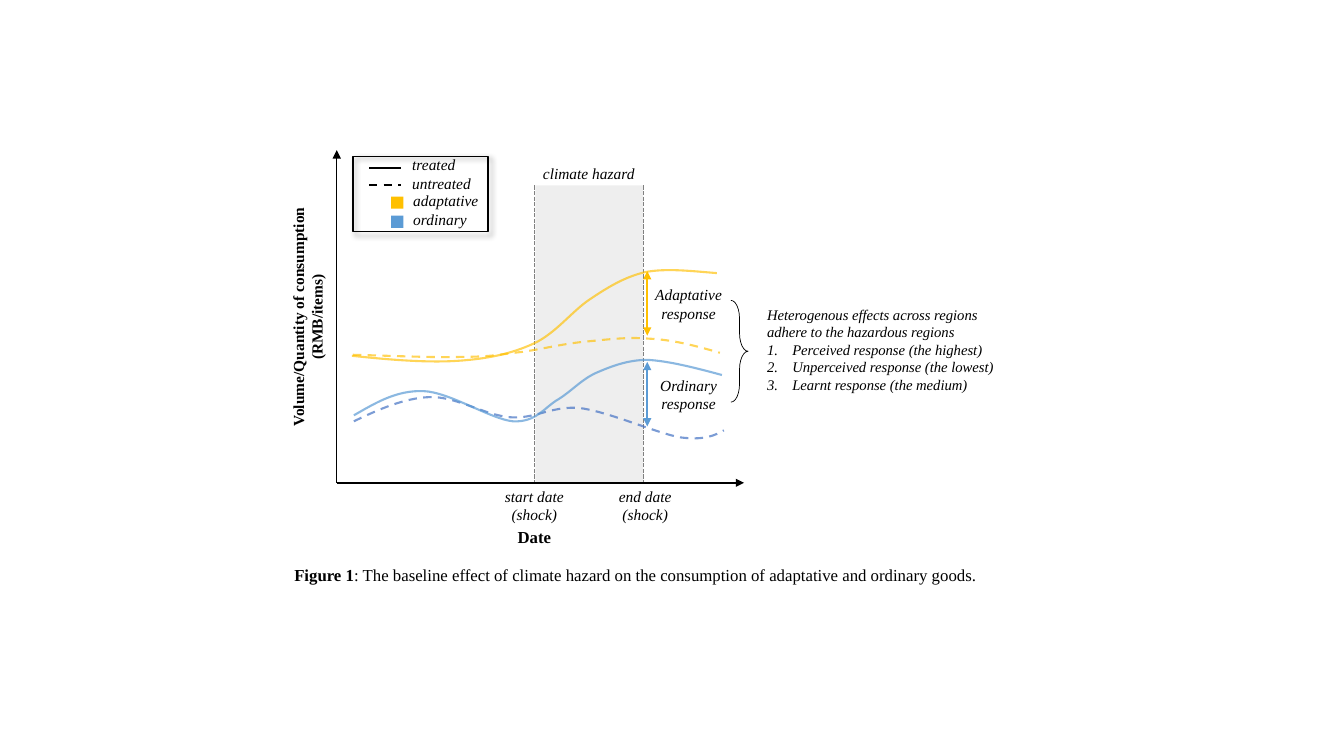
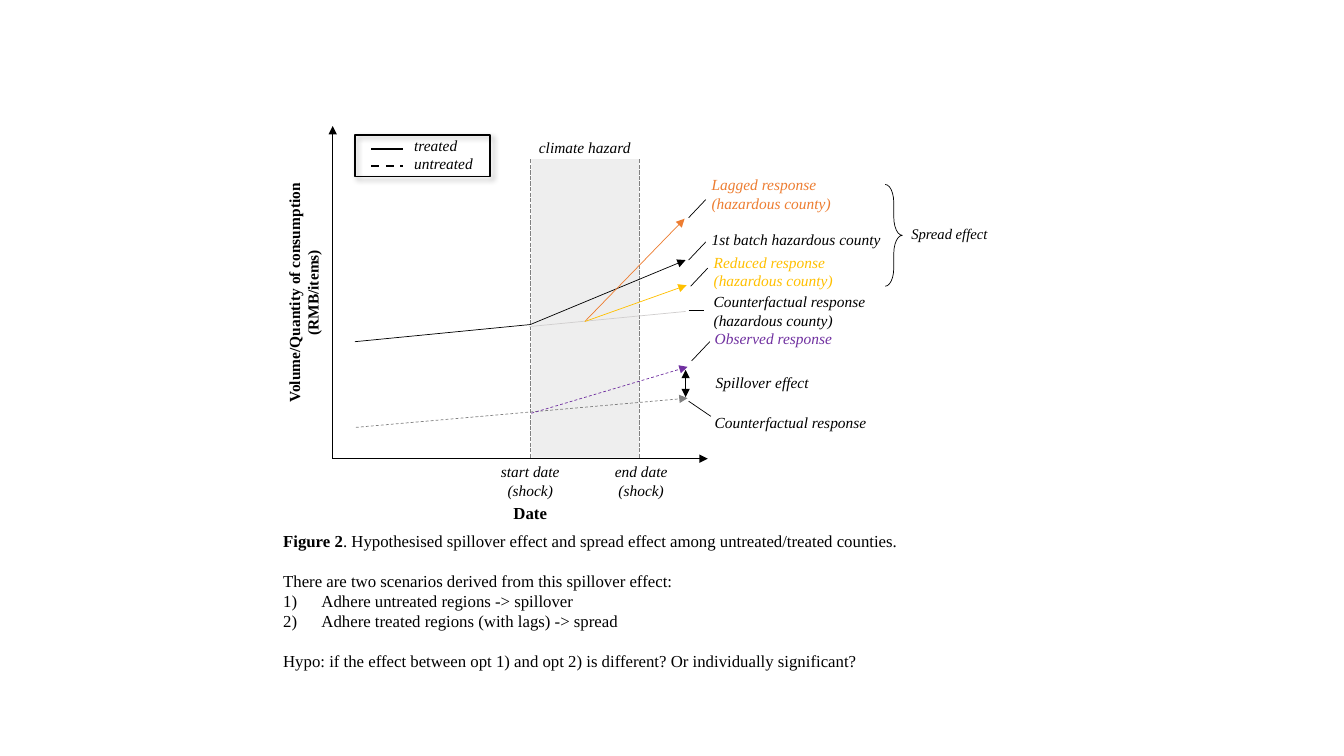
from dataclasses import dataclass

from pptx import Presentation
from pptx.dml.color import RGBColor
from pptx.enum import dml, shapes, text
from pptx.oxml import ns, xmlchemy
from pptx.util import Inches, Pt


@dataclass(frozen=True)
class Theme:
    font: str = "Times New Roman"
    black: str = "000000"
    gray: str = "808080"
    pale: str = "D0CECE"
    yellow: str = "FFC000"
    blue: str = "5B9BD5"
    indigo: str = "4472C4"
    orange: str = "ED7D31"
    purple: str = "7030A0"
    note: float = 10.5
    label: float = 11
    body: float = 12
    hairline: float = 0.5
    axis: float = 1
    curve: float = 1.5


@dataclass(frozen=True)
class Para:
    spans: tuple
    number: str = ""
    indent: float = 0
    before: float = 0


THEME = Theme()
DASH = dml.MSO_LINE.DASH
SHORT_DASH = dml.MSO_LINE.SQUARE_DOT
CENTER = text.PP_ALIGN.CENTER
BLANK_LINE = 13.8
LABEL = dict(size=THEME.label, italic=True)
CENTERED_LABEL = dict(LABEL, align=CENTER)


def sub(parent, tag, **attributes):
    """Append an XML child and return it."""
    child = xmlchemy.OxmlElement(tag)
    for name, value in attributes.items():
        child.set(name, str(value))
    parent.append(child)
    return child


def shifted(origin, point):
    return origin[0] + point[0], origin[1] + point[1]


def fade(shape, percent):
    """Make the first colour of a shape partly transparent."""
    color = next(shape._element.spPr.iter(ns.qn("a:srgbClr")))
    sub(color, "a:alpha", val=percent * 1000)


def set_line(shape, color, width, dash=None):
    shape.line.color.rgb = RGBColor.from_string(color)
    shape.line.width = Pt(width)
    if dash is not None:
        shape.line.dash_style = dash


def add_line(canvas, origin, start, end, color=THEME.black, width=THEME.hairline,
             dash=None, ends=""):
    """Draw a line; ends lists the arrowheads, "head" at start and "tail" at end."""
    corners = [Inches(v) for p in (start, end) for v in shifted(origin, p)]
    line = canvas.add_connector(shapes.MSO_CONNECTOR.STRAIGHT, *corners)
    set_line(line, color, width, dash)
    for end_name in ends.split():
        sub(line.line._get_or_add_ln(), f"a:{end_name}End", type="triangle")
    sub(line._element.spPr, "a:effectLst")


def add_box(canvas, origin, offset, size, fill=None, line=None, width=THEME.axis,
            kind=shapes.MSO_SHAPE.RECTANGLE):
    box = canvas.add_shape(kind, *map(Inches, shifted(origin, offset) + size))
    box.shadow.inherit = False
    if fill:
        box.fill.solid()
        box.fill.fore_color.rgb = RGBColor.from_string(fill)
    else:
        box.fill.background()
    if line:
        set_line(box, line, width)
    else:
        box.line.fill.background()
    return box


def add_text(canvas, origin, offset, size_box, paras, size, color=THEME.black,
             bold=False, italic=False, align=None):
    """Write paragraphs: each is a string or a Para of (text, bold) spans."""
    box = canvas.add_textbox(*map(Inches, shifted(origin, offset) + size_box))
    frame = box.text_frame
    frame.word_wrap = True
    frame.auto_size = text.MSO_AUTO_SIZE.SHAPE_TO_FIT_TEXT
    for index, content in enumerate(paras):
        if isinstance(content, str):
            content = Para(((content, bold),))
        para = frame.add_paragraph() if index else frame.paragraphs[0]
        if align is not None:
            para.alignment = align
        if content.before:
            para.space_before = Pt(content.before)
        if content.number:
            props = para._p.get_or_add_pPr()
            props.set("marL", str(Inches(content.indent)))
            props.set("indent", str(-Inches(content.indent)))
            sub(props, "a:buFont", typeface="+mj-lt")
            sub(props, "a:buAutoNum", type=content.number)
        for words, strong in content.spans:
            span = para.add_run()
            span.text = words
            style = dict(name=THEME.font, size=Pt(size), bold=strong, italic=italic)
            for name, value in style.items():
                setattr(span.font, name, value)
            span.font.color.rgb = RGBColor.from_string(color)
    return box


def add_curve(canvas, origin, points, color, opacity, dash=None):
    """Draw a chain of Bezier segments: a start, then three points for each."""
    start, *rest = [tuple(map(Inches, shifted(origin, p))) for p in points]
    builder = canvas.build_freeform(*start)
    builder.add_line_segments(rest, close=False)
    curve = builder.convert_to_shape()
    curve.shadow.inherit = False
    curve.fill.background()
    set_line(curve, color, THEME.curve, dash)
    fade(curve, opacity)
    outline = next(curve._element.iter(ns.qn("a:path")))
    corners = outline.findall(ns.qn("a:lnTo"))
    for first in range(0, len(corners), 3):
        bezier = sub(outline, "a:cubicBezTo")
        for corner in corners[first:first + 3]:
            bezier.append(corner[0])
            outline.remove(corner)


def add_hazard_band(canvas, origin, top):
    band = add_box(canvas, origin, (1.97, top), (1.07, 2.96), fill=THEME.gray)
    fade(band, 13)
    add_text(canvas, origin, (1.85, top - 0.26), (1.3, 0.29), ["climate hazard"],
             **CENTERED_LABEL)
    for x in (1.96, 3.04):
        add_line(canvas, origin, (x, top), (x, top + 2.96), THEME.gray, THEME.axis,
                 SHORT_DASH)


def add_axes(canvas, origin, length):
    group = canvas.add_group_shape().shapes
    corner = (0, 3.3)
    for end in ((0, 0), (length, 3.3)):
        add_line(group, origin, corner, end, width=THEME.axis, ends="tail")
    for x, moment in ((1.31, "start date"), (2.41, "end date")):
        add_text(group, origin, (x, 3.29), (1.3, 0.47), [moment, "(shock)"],
                 **CENTERED_LABEL)
    add_text(group, origin, (1.66, 3.69), (0.6, 0.3), ["Date"], THEME.body,
             bold=True, align=CENTER)
    title = add_text(group, origin, (-1.63, 1.42), (2.68, 0.47),
                     ["Volume/Quantity of consumption (RMB/items)"], THEME.label,
                     bold=True, align=CENTER)
    title.rotation = 270


def add_legend(canvas, origin, height, inset=0, swatches=()):
    group = canvas.add_group_shape().shapes
    for y, dash in ((0.12, None), (0.29, DASH)):
        add_line(group, origin, (0.16, y + inset), (0.48, y + inset),
                 width=THEME.curve, dash=dash)
    add_text(group, origin, (0.49, inset - 0.06), (0.84, 0.47),
             ["treated", "untreated"], **LABEL)
    for row, (_, color) in enumerate(swatches):
        add_box(group, origin, (0.38, 0.4 + 0.19 * row), (0.12, 0.12), fill=color)
    if swatches:
        add_text(group, origin, (0.5, 0.3), (1, 0.47),
                 [name for name, _ in swatches], **LABEL)
    border = add_box(group, origin, (0, 0), (1.34, height), line=THEME.black)
    effects = border._element.spPr.find(ns.qn("a:effectLst"))
    shadow = sub(effects, "a:outerShdw", blurRad=Pt(4), dist=Pt(3), dir=45 * 60000,
                 algn="tl", rotWithShape=0)
    sub(sub(shadow, "a:srgbClr", val=THEME.black), "a:alpha", val=40000)


def add_braced_note(canvas, origin, offset, height, paras):
    """Place a right brace at origin and its note beside it."""
    brace = add_box(canvas, origin, (0, 0), (0.17, 1.01), line=THEME.black,
                    width=THEME.hairline, kind=shapes.MSO_SHAPE.RIGHT_BRACE)
    brace.adjustments[0] = 1.061
    brace.adjustments[1] = 0.5
    add_text(canvas, origin, offset, (2.46, height), paras, THEME.note, italic=True)


def baseline_figure(page, origin):
    canvas = page.shapes
    add_hazard_band(canvas, origin, 0.35)
    add_axes(canvas, origin, 4.04)
    curves = (
        (THEME.indigo, 70, DASH, [
            (0.17, 2.69), (0.42, 2.57), (0.67, 2.46), (0.92, 2.45), (1.18, 2.44),
            (1.47, 2.63), (1.72, 2.65), (1.97, 2.67), (2.14, 2.53), (2.42, 2.56),
            (2.71, 2.6), (3.18, 2.81), (3.41, 2.85), (3.65, 2.88), (3.75, 2.83),
            (3.84, 2.78)]),
        (THEME.yellow, 65, DASH, [
            (0.16, 2.03), (0.57, 2.04), (0.98, 2.06), (1.26, 2.05), (1.55, 2.05),
            (1.65, 2.02), (1.85, 2), (2.05, 1.97), (2.25, 1.92), (2.46, 1.9),
            (2.67, 1.88), (2.88, 1.85), (3.1, 1.87), (3.33, 1.88), (3.56, 1.94),
            (3.8, 2.01)]),
        (THEME.blue, 70, None, [
            (0.17, 2.63), (0.38, 2.51), (0.59, 2.38), (0.86, 2.39), (1.12, 2.4),
            (1.53, 2.67), (1.75, 2.69), (1.98, 2.7), (2.06, 2.55), (2.2, 2.47),
            (2.33, 2.39), (2.42, 2.28), (2.57, 2.21), (2.71, 2.15), (2.88, 2.08),
            (3.08, 2.08), (3.29, 2.09), (3.56, 2.16), (3.82, 2.23)]),
        (THEME.yellow, 65, None, [
            (0.15, 2.04), (0.52, 2.08), (0.9, 2.11), (1.2, 2.09), (1.5, 2.07),
            (1.73, 2.02), (1.95, 1.92), (2.17, 1.82), (2.33, 1.6), (2.51, 1.48),
            (2.69, 1.36), (2.85, 1.26), (3.06, 1.21), (3.27, 1.17), (3.52, 1.2),
            (3.77, 1.22)]),
    )
    for color, opacity, dash, points in curves:
        add_curve(canvas, origin, points, color, opacity, dash)
    for name, color, top in (("Adaptative", THEME.yellow, 1.2),
                             ("Ordinary", THEME.blue, 2.1)):
        add_line(canvas, origin, (3.08, top), (3.08, top + 0.64), color, THEME.curve,
                 ends="head tail")
        add_text(canvas, origin, (2.84, top + 0.09), (1.3, 0.47),
                 [f"{name} response"], **CENTERED_LABEL)
    add_legend(canvas, shifted(origin, (0.16, 0.06)), 0.75,
               swatches=(("adaptative", THEME.yellow), ("ordinary", THEME.blue)))
    ranks = ("Perceived response (the highest)", "Unperceived response (the lowest)",
             "Learnt response (the medium)")
    add_braced_note(
        canvas, shifted(origin, (3.91, 1.49)), (0.26, 0), 0.98,
        ["Heterogenous effects across regions adhere to the hazardous regions"]
        + [Para(((rank, False),), "arabicPeriod", 0.25) for rank in ranks])
    add_text(canvas, origin, (-0.52, 4.06), (9.11, 0.5), [Para((
        ("Figure 1", True),
        (": The baseline effect of climate hazard on the consumption of adaptative"
         " and ordinary goods.", False)))], THEME.body)


def spillover_figure(page, origin):
    canvas = page.shapes
    add_axes(canvas, origin, 3.72)
    add_hazard_band(canvas, origin, 0.33)
    add_legend(canvas, shifted(origin, (0.22, 0.09)), 0.41, inset=0.02)
    trends = (
        ((0.23, 2.99), (3.52, 2.7), THEME.gray, DASH, "tail"),
        ((1.97, 2.85), (3.52, 2.39), THEME.purple, DASH, "tail"),
        ((0.22, 2.14), (1.96, 1.97), THEME.black, None, ""),
        ((1.96, 1.97), (3.5, 1.33), THEME.black, None, "tail"),
        ((2.5, 1.94), (3.49, 0.92), THEME.orange, None, "tail"),
        ((1.95, 1.99), (3.5, 1.84), THEME.pale, None, ""),
        ((2.5, 1.94), (3.51, 1.58), THEME.yellow, None, "tail"),
        ((3.5, 2.42), (3.5, 2.69), THEME.black, None, "head tail"),
    )
    for start, end, color, dash, ends in trends:
        add_line(canvas, origin, start, end, color, dash=dash, ends=ends)
    leaders = (((3.53, 0.91), (3.7, 0.73)), ((3.53, 1.33), (3.7, 1.15)),
               ((3.55, 1.59), (3.72, 1.41)), ((3.53, 1.83), (3.68, 1.83)),
               ((3.56, 2.33), (3.74, 2.14)), ((3.53, 2.73), (3.75, 2.88)))
    for start, end in leaders:
        add_line(canvas, origin, start, end)
    labels = (
        ("Lagged response (hazardous county)", (3.66, 0.44), 0.47, THEME.orange),
        ("1st batch hazardous county", (3.66, 0.98), 0.29, THEME.black),
        ("Reduced response (hazardous county)", (3.68, 1.21), 0.47, THEME.yellow),
        ("Counterfactual response (hazardous county)", (3.68, 1.6), 0.47, THEME.black),
        ("Observed response", (3.69, 1.97), 0.29, THEME.purple),
        ("Spillover effect", (3.7, 2.4), 0.29, THEME.black),
        ("Counterfactual response", (3.69, 2.8), 0.29, THEME.black),
    )
    for words, offset, height, color in labels:
        add_text(canvas, origin, offset, (1.94, height), [words], color=color, **LABEL)
    add_braced_note(canvas, shifted(origin, (5.48, 0.58)), (0.16, 0.35), 0.28,
                    ["Spread effect"])
    scenarios = ("Adhere untreated regions -> spillover",
                 "Adhere treated regions (with lags) -> spread")
    add_text(canvas, origin, (-0.59, 3.97), (9.11, 1.51), [
        Para((("Figure 2", True),
              (". Hypothesised spillover effect and spread effect among"
               " untreated/treated counties.", False))),
        Para((("There are two scenarios derived from this spillover effect:", False),),
             before=BLANK_LINE),
        *(Para(((scenario, False),), "arabicParenR", 0.38) for scenario in scenarios),
        Para((("Hypo: if the effect between opt 1) and opt 2) is different?"
               " Or individually significant?", False),), before=BLANK_LINE),
    ], THEME.body)


def main():
    deck = Presentation()
    deck.slide_width, deck.slide_height = Inches(13.33), Inches(7.5)
    for figure, origin in ((baseline_figure, (3.34, 1.49)),
                           (spillover_figure, (3.3, 1.25))):
        figure(deck.slides.add_slide(deck.slide_layouts[6]), origin)
    deck.save("out.pptx")


if __name__ == "__main__":
    main()
